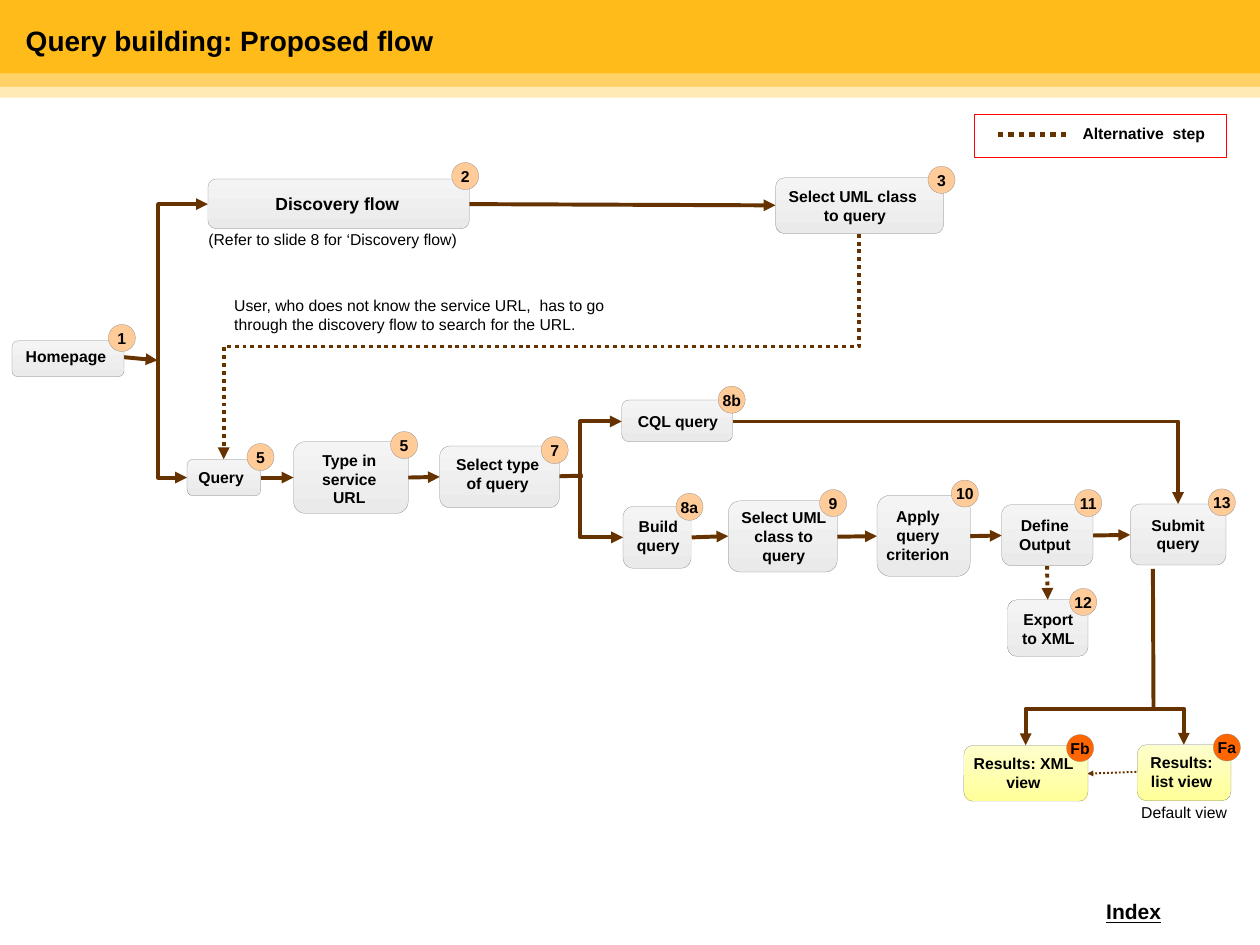
from dataclasses import dataclass
from typing import Optional

from lxml import etree
from pptx import Presentation
from pptx import util as u
from pptx.dml.color import RGBColor
from pptx.enum import dml, shapes, text
from pptx.oxml import ns

COLORS = {
    "amber": "FEB400", "cream": "FFEAB5", "black": "000000", "brown": "663300",
    "gray": "808080", "red": "FF0000", "peach": "FFCC99", "orange": "FF6600",
    "step top": "F4F4F4", "step bottom": "EAEAEA",
    "result top": "FEFECD", "result bottom": "FFFF99",
}
FONT = "Arial"
BADGE_SIZE = 0.43
LEFT, CENTER = text.PP_ALIGN.LEFT, text.PP_ALIGN.CENTER
SHAPE = shapes.MSO_SHAPE

Point = tuple[float, float]
Box = tuple[float, float, float, float]


@dataclass
class Label:
    wording: str
    box: Box
    align: text.PP_ALIGN = CENTER
    size: float = 18
    bold: bool = True
    underline: bool = False
    inset: Point = (0.1, 0.05)


@dataclass
class Band:
    box: Box
    color: str
    opacity: int = 100


@dataclass
class Step:
    box: Box
    label: Label
    badge: str
    badge_at: Point
    kind: str = "step"
    badge_color: str = "peach"


@dataclass
class Flow:
    start: Point
    end: Point
    bend_x: Optional[float] = None
    bend_y: Optional[float] = None
    corner: bool = False
    dotted: bool = False
    head: bool = False
    tail: bool = True
    width: float = 4.5


BANDS = [
    Band((0, 1.17, 20, 0.22), "amber", 60),
    Band((0, 1.38, 20, 0.17), "cream"),
    Band((0, 0, 20, 1.17), "amber", 90),
]

STEPS = [
    Step((0.19, 5.41, 1.78, 0.57), Label("Homepage", (0.31, 5.45, 1.52, 0.4), LEFT), "1", (1.72, 5.15)),
    Step((3.3, 2.84, 4.15, 0.79), Label("Discovery flow", (4.15, 3.01, 2.41, 0.43), size=20), "2", (7.17, 2.58)),
    Step((12.31, 2.82, 2.67, 0.89), Label("Select UML class  to query", (12.4, 2.92, 2.34, 0.7)), "3", (14.73, 2.64)),
    Step((2.97, 7.29, 1.17, 0.58), Label("Query", (3.05, 7.37, 0.98, 0.4), LEFT), "5", (3.92, 7.04)),
    Step((4.66, 7.01, 1.82, 1.14), Label("Type in service URL", (4.88, 7.1, 1.33, 1)), "5", (6.2, 6.85)),
    Step((6.98, 7.08, 1.9, 0.98), Label("Select type of query", (7.09, 7.17, 1.62, 0.7)), "7", (8.59, 6.93)),
    Step((9.89, 8.04, 1.08, 0.98), Label("Build query", (9.96, 8.16, 0.98, 0.7)), "8a", (10.73, 7.83)),
    Step((9.87, 6.35, 1.76, 0.66), Label("CQL query", (9.99, 6.48, 1.54, 0.4)), "8b", (11.4, 6.13)),
    Step((11.56, 7.95, 1.73, 1.13), Label("Select UML class to query", (11.63, 8.01, 1.62, 1)), "9", (13.01, 7.77)),
    Step((13.92, 7.86, 1.48, 1.29), Label("Apply query criterion", (13.95, 7.99, 1.24, 1)), "10", (15.1, 7.62)),
    Step((15.9, 8.01, 1.45, 0.97), Label("Define Output", (15.93, 8.14, 1.31, 0.7)), "11", (17.06, 7.77)),
    Step((15.99, 9.52, 1.28, 0.9), Label("Export to XML", (16.02, 9.63, 1.24, 0.7)), "12", (16.98, 9.34)),
    Step((17.94, 8, 1.52, 0.97), Label("Submit query", (18.07, 8.13, 1.26, 0.7)), "13", (19.18, 7.76)),
    Step((18.05, 11.82, 1.49, 0.89), Label("Results: list view", (18.1, 11.9, 1.31, 0.7)),
         "Fa", (19.26, 11.65), "result", "orange"),
    Step((15.3, 11.83, 1.97, 0.89), Label("Results: XML view", (15.35, 11.91, 1.79, 0.7)),
         "Fb", (16.93, 11.66), "result", "orange"),
]

FLOWS = [
    Flow((1.97, 5.67), (2.5, 5.72)),
    Flow((3.3, 3.24), (2.97, 7.58), bend_x=2.51, head=True),
    Flow((7.45, 3.24), (12.31, 3.26)),
    Flow((13.64, 3.71), (3.55, 7.29), bend_y=5.5, dotted=True),
    Flow((4.14, 7.58), (4.66, 7.58)),
    Flow((6.48, 7.58), (6.98, 7.57)),
    Flow((8.88, 7.56), (9.25, 7.55), tail=False),
    Flow((9.89, 8.53), (9.87, 6.69), bend_x=9.21, head=True),
    Flow((10.98, 8.53), (11.56, 8.51)),
    Flow((13.29, 8.52), (13.92, 8.51)),
    Flow((15.4, 8.51), (15.9, 8.5)),
    Flow((17.34, 8.5), (17.94, 8.49)),
    Flow((16.62, 8.98), (16.63, 9.52), dotted=True),
    Flow((11.63, 6.69), (18.7, 8), corner=True),
    Flow((18.3, 9.03), (18.31, 11.26), tail=False),
    Flow((16.28, 11.83), (18.79, 11.82), bend_y=11.24, head=True),
    Flow((18.1, 12.25), (17.26, 12.28), dotted=True, width=2.25),
    Flow((15.84, 2.14), (16.97, 2.14), dotted=True, tail=False, width=6),
]

LABELS = [
    Label("Query building: Proposed flow", (0.31, 0.32, 18.81, 0.63), LEFT, 32),
    Label("Alternative  step", (17.08, 1.92, 2.15, 0.4)),
    Label("(Refer to slide 8 for ‘Discovery flow)", (3.21, 3.6, 4.33, 0.4), LEFT, bold=False),
    Label("User, who does not know the service URL,  has to go through the discovery flow to search for the URL.",
          (3.62, 4.64, 6.57, 0.7), LEFT, bold=False),
    Label("Default view", (17.72, 12.7, 2.15, 0.4), bold=False),
    Label("Index", (17.36, 14.17, 1.5, 0.6), LEFT, 24, underline=True, inset=(0.2, 0.1)),
]


def rgb(name: str) -> RGBColor:
    return RGBColor.from_string(COLORS[name])


def add_outlined(slide, preset: SHAPE, box: Box, line: Optional[str] = "gray", width: float = 0.25):
    shape = slide.shapes.add_shape(preset, *map(u.Inches, box))
    shape.shadow.inherit = False
    if line:
        shape.line.color.rgb = rgb(line)
        shape.line.width = u.Pt(width)
    else:
        shape.line.fill.background()
    return shape


def write(paragraph, wording: str, align: text.PP_ALIGN, size: float, bold: bool) -> None:
    paragraph.text = wording
    paragraph.alignment = align
    font = paragraph.font
    font.name, font.size, font.bold = FONT, u.Pt(size), bold
    font.color.rgb = rgb("black")


def add_band(slide, band: Band) -> None:
    shape = add_outlined(slide, SHAPE.RECTANGLE, band.box, None)
    shape.fill.solid()
    shape.fill.fore_color.rgb = rgb(band.color)
    if band.opacity < 100:
        color = shape._element.spPr.find(ns.qn("a:solidFill"))[0]
        etree.SubElement(color, ns.qn("a:alpha"), val=str(band.opacity * 1000))


def add_label(slide, label: Label) -> None:
    frame = slide.shapes.add_textbox(*map(u.Inches, label.box)).text_frame
    frame.word_wrap = True
    frame.margin_left = frame.margin_right = u.Inches(label.inset[0])
    frame.margin_top = frame.margin_bottom = u.Inches(label.inset[1])
    paragraph = frame.paragraphs[0]
    write(paragraph, label.wording, label.align, label.size, label.bold)
    if label.underline:
        paragraph.font.underline = True


def add_step(slide, step: Step) -> None:
    shape = add_outlined(slide, SHAPE.ROUNDED_RECTANGLE, step.box)
    shape.fill.gradient()
    shape.fill.gradient_angle = 270
    for stop, edge in zip(shape.fill.gradient_stops, ("top", "bottom")):
        stop.color.rgb = rgb(f"{step.kind} {edge}")
    add_label(slide, step.label)
    badge = add_outlined(slide, SHAPE.OVAL, (*step.badge_at, BADGE_SIZE, BADGE_SIZE))
    badge.fill.solid()
    badge.fill.fore_color.rgb = rgb(step.badge_color)
    badge.text_frame.word_wrap = False
    badge.text_frame.vertical_anchor = text.MSO_ANCHOR.MIDDLE
    write(badge.text_frame.paragraphs[0], step.badge, CENTER, 18, True)


def add_flow(slide, flow: Flow) -> None:
    (x1, y1), (x2, y2) = flow.start, flow.end
    ends = (x1, y1, x2, y2)
    ratio = None
    if flow.bend_x is not None:
        ratio = (flow.bend_x - x1) / (x2 - x1)
    elif flow.bend_y is not None:
        ratio = (flow.bend_y - y1) / (y2 - y1)
        middle_x, middle_y = (x1 + x2) / 2, (y1 + y2) / 2
        half_x, half_y = (x2 - x1) / 2, (y2 - y1) / 2
        ends = (middle_x - half_y, middle_y + half_x, middle_x + half_y, middle_y - half_x)
    bent = flow.corner or ratio is not None
    kind = shapes.MSO_CONNECTOR.ELBOW if bent else shapes.MSO_CONNECTOR.STRAIGHT
    connector = slide.shapes.add_connector(kind, *map(u.Inches, ends))
    properties = connector._element.spPr
    geometry = properties.find(ns.qn("a:prstGeom"))
    if flow.corner:
        geometry.set("prst", "bentConnector2")
    if ratio is not None:
        guides = geometry.find(ns.qn("a:avLst"))
        etree.SubElement(guides, ns.qn("a:gd"), name="adj1", fmla=f"val {round(ratio * 100000)}")
    if flow.bend_y is not None:
        properties.find(ns.qn("a:xfrm")).set("rot", "5400000")
    connector.line.color.rgb = rgb("brown")
    connector.line.width = u.Pt(flow.width)
    if flow.dotted:
        connector.line.dash_style = dml.MSO_LINE.ROUND_DOT
    outline = properties.find(ns.qn("a:ln"))
    for shown, tag in ((flow.head, "a:headEnd"), (flow.tail, "a:tailEnd")):
        if shown:
            etree.SubElement(outline, ns.qn(tag), type="triangle")
    etree.SubElement(properties, ns.qn("a:effectLst"))


def main() -> None:
    presentation = Presentation()
    presentation.slide_width, presentation.slide_height = u.Inches(20), u.Inches(15)
    slide = presentation.slides.add_slide(presentation.slide_layouts[6])
    for band in BANDS:
        add_band(slide, band)
    for flow in FLOWS:
        add_flow(slide, flow)
    for step in STEPS:
        add_step(slide, step)
    legend = add_outlined(slide, SHAPE.RECTANGLE, (15.46, 1.82, 4, 0.68), "red", 0.75)
    legend.fill.background()
    for label in LABELS:
        add_label(slide, label)
    presentation.save("out.pptx")


if __name__ == "__main__":
    main()
